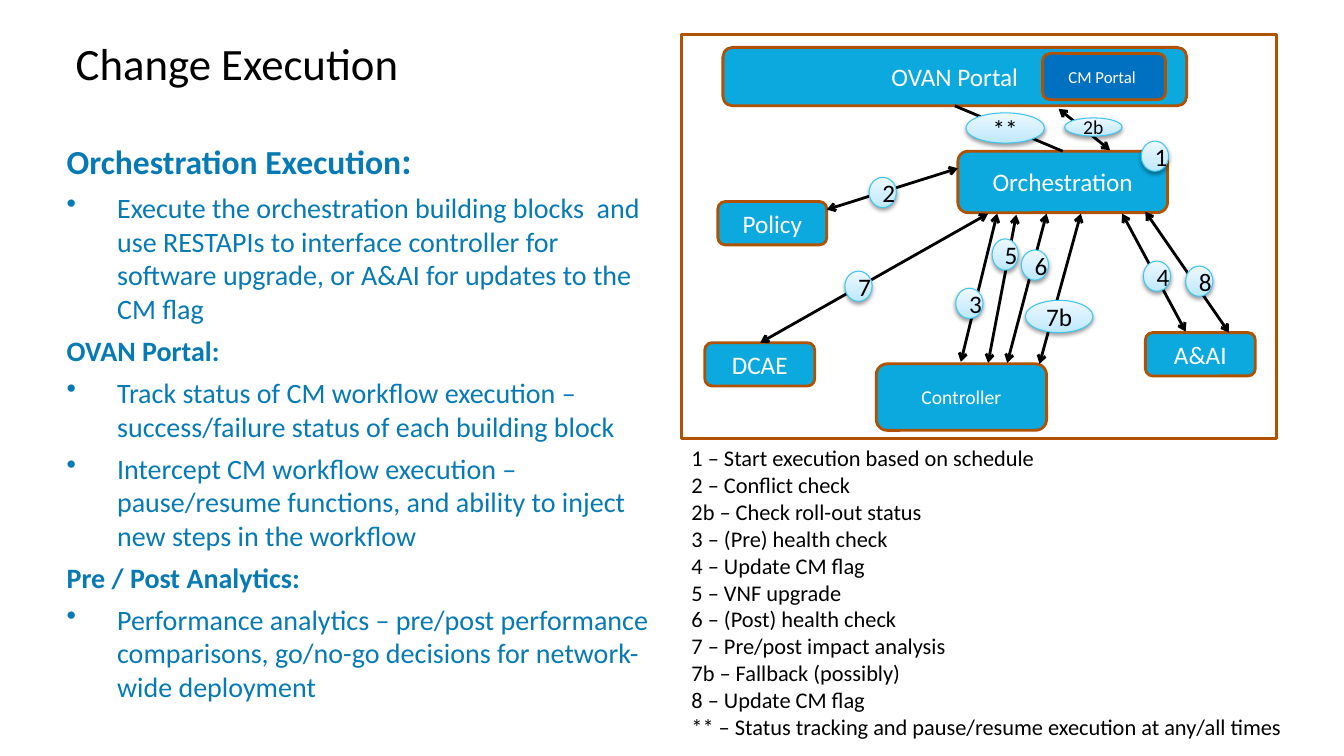
from pptx import Presentation
from pptx import util as u
from pptx.dml.color import RGBColor
from pptx.enum import shapes, text
from pptx.oxml import ns
from lxml import etree

COLORS = {"black": "000000", "white": "FFFFFF", "heading": "067AB4",
          "box": "0CA9DF", "portal": "0070C0", "border": "B15200",
          "badge_line": "3EC6F4"}
BADGE_STOPS = [(0, "BCE7FF"), (35, "CFEEFF"), (100, "EDF8FF")]

presentation = Presentation()
presentation.slide_width = u.Inches(13.33)
presentation.slide_height = u.Inches(7.5)
slide = presentation.slides.add_slide(presentation.slide_layouts[6])


def add_run(paragraph, words, size, color, bold=False):
    run = paragraph.add_run()
    run.text = words
    run.font.name = "Calibri"
    run.font.size = u.Pt(size)
    run.font.bold = bold
    run.font.color.rgb = RGBColor.from_string(COLORS[color])


def add_block(kind, place, fill, line, width, words="", size=18, color="white"):
    shape = slide.shapes.add_shape(kind, *[u.Inches(n) for n in place])
    shape.shadow.inherit = False
    if fill:
        shape.fill.solid()
        shape.fill.fore_color.rgb = RGBColor.from_string(COLORS[fill])
    else:
        shape.fill.background()
    shape.line.color.rgb = RGBColor.from_string(COLORS[line])
    shape.line.width = u.Pt(width)
    if words:
        paragraph = shape.text_frame.paragraphs[0]
        paragraph.alignment = text.PP_ALIGN.CENTER
        add_run(paragraph, words, size, color)
    return shape


# Title
title = slide.shapes.add_textbox(u.Inches(0.75), u.Inches(0.3), u.Inches(11.91), u.Inches(1.25))
frame = title.text_frame
frame.word_wrap = True
frame.margin_left = frame.margin_right = frame.margin_top = frame.margin_bottom = 0
frame.paragraphs[0].line_spacing = 1.1
add_run(frame.paragraphs[0], "Change Execution", 32, "black")

# Explanation on the left: (is bullet, runs of text and size)
explanation = [
    (False, [("Orchestration Execution", 24), (":", 26.7)]),
    (True, [("Execute the orchestration building blocks  and use RESTAPIs to interface "
             "controller for software upgrade, or A&AI for updates to the CM flag", 20)]),
    (False, [("OVAN Portal:", 20)]),
    (True, [("Track status of CM workflow execution – success/failure status of each "
             "building block", 20)]),
    (True, [("Intercept CM workflow execution – pause/resume functions, and ability to "
             "inject new steps in the workflow", 20)]),
    (False, [("Pre / Post Analytics:", 20)]),
    (True, [("Performance analytics – pre/post performance comparisons, go/no-go decisions "
             "for network-wide deployment", 20)]),
]
panel = add_block(shapes.MSO_SHAPE.ROUNDED_RECTANGLE, (0.47, 1.24, 6.18, 5.91), "white", "white", 1)
panel.line.fill.background()
panel.adjustments[0] = 0.024
frame = panel.text_frame
frame.vertical_anchor = text.MSO_ANCHOR.TOP
frame.margin_left = frame.margin_right = frame.margin_bottom = u.Inches(0.15)
frame.margin_top = u.Inches(0.08)
for index, (bullet, runs) in enumerate(explanation):
    paragraph = frame.add_paragraph() if index else frame.paragraphs[0]
    paragraph.alignment = text.PP_ALIGN.LEFT
    paragraph.space_after = u.Pt(6)
    for words, size in runs:
        add_run(paragraph, words, size, "heading", not bullet)
    if bullet:
        properties = paragraph._p.get_or_add_pPr()
        properties.set("marL", str(u.Inches(0.5)))
        properties.set("indent", str(u.Inches(-0.5)))
        etree.SubElement(properties, ns.qn("a:buChar")).set("char", "•")

# Legend of the steps
legend = slide.shapes.add_textbox(u.Inches(6.76), u.Inches(4.36), u.Inches(6.57), u.Inches(3.06))
frame = legend.text_frame
frame.word_wrap = True
steps = ["1 – Start execution based on schedule", "2 – Conflict check",
         "2b – Check roll-out status", "3 – (Pre) health check", "4 – Update CM flag",
         "5 – VNF upgrade", "6 – (Post) health check", "7 – Pre/post impact analysis",
         "7b – Fallback (possibly)", "8 – Update CM flag",
         "** – Status tracking and pause/resume execution at any/all times"]
for index, step in enumerate(steps):
    paragraph = frame.add_paragraph() if index else frame.paragraphs[0]
    add_run(paragraph, step, 16, "black")

# Diagram frame and component boxes
add_block(shapes.MSO_SHAPE.RECTANGLE, (6.76, 0.34, 5.9, 4.01), None, "border", 2)
components = [
    ("OVAN Portal", (7.17, 0.47, 4.6, 0.58), "box", 18),
    ("CM Portal ", (10.34, 0.53, 1.22, 0.46), "portal", 12),
    ("Orchestration", (9.5, 1.5, 2.08, 0.61), "box", 18),
    ("Policy", (7.12, 2, 1.08, 0.43), "box", 18),
    ("DCAE", (6.99, 3.4, 1.09, 0.43), "box", 18),
    ("Controller", (8.69, 3.61, 1.69, 0.66), "box", 14),
    ("A&AI", (11.36, 3.3, 1.09, 0.43), "box", 18),
]
for name, place, fill, size in components:
    add_block(shapes.MSO_SHAPE.ROUNDED_RECTANGLE, place, fill, "border", 2, name, size)

# Links between components: start, end, arrowheads
links = [
    (9.47, 1.05, 10.54, 1.5, False),
    (11.01, 1.49, 10.5, 1.08, True),
    (9.5, 1.67, 8.2, 2.08, True),
    (9.8, 2.12, 7.54, 3.4, True),
    (9.89, 2.12, 9.53, 3.59, True),
    (10.08, 2.13, 9.8, 3.6, True),
    (10.38, 2.12, 9.99, 3.6, True),
    (10.72, 2.12, 10.31, 3.61, True),
    (11.13, 2.12, 11.76, 3.29, True),
    (11.36, 2.1, 12.19, 3.3, True),
]
for *ends, arrows in links:
    link = slide.shapes.add_connector(shapes.MSO_CONNECTOR.STRAIGHT, *[u.Inches(n) for n in ends])
    link.line.color.rgb = RGBColor.from_string(COLORS["black"])
    link.line.width = u.Pt(2)
    properties = link._element.spPr
    if arrows:
        for end in ("a:headEnd", "a:tailEnd"):
            etree.SubElement(properties.find(ns.qn("a:ln")), ns.qn(end)).set("type", "arrow")
    etree.SubElement(properties, ns.qn("a:effectLst"))

# Step badges with gradient and soft shadow
badges = [
    ("**", (9.58, 1.12, 0.78, 0.3), 18),
    ("2b", (10.56, 1.17, 0.57, 0.18), 14),
    ("1", (11.32, 1.4, 0.27, 0.3), 18),
    ("2", (8.62, 1.76, 0.27, 0.3), 18),
    ("3", (9.48, 2.86, 0.27, 0.3), 18),
    ("4", (11.34, 2.59, 0.27, 0.3), 18),
    ("5", (9.84, 2.37, 0.26, 0.31), 18),
    ("6", (10.13, 2.48, 0.27, 0.3), 18),
    ("7", (8.38, 2.69, 0.27, 0.3), 18),
    ("7b", (10.17, 2.98, 0.67, 0.32), 18),
    ("8", (11.76, 2.64, 0.27, 0.3), 18),
]
for label, place, size in badges:
    badge = add_block(shapes.MSO_SHAPE.OVAL, place, None, "badge_line", 0.75, label, size, "black")
    badge.fill.gradient()
    badge.fill.gradient_angle = 90
    properties = badge._element.spPr
    stops = properties.find(".//" + ns.qn("a:gsLst"))
    for stop in list(stops):
        stops.remove(stop)
    for position, color in BADGE_STOPS:
        stop = etree.SubElement(stops, ns.qn("a:gs"), pos=str(position * 1000))
        etree.SubElement(stop, ns.qn("a:srgbClr"), val=color)
    shadow = etree.SubElement(properties.find(ns.qn("a:effectLst")), ns.qn("a:outerShdw"),
                              blurRad=str(u.Pt(3.1)), dist=str(u.Pt(1.6)),
                              dir="5400000", rotWithShape="0")
    shade = etree.SubElement(shadow, ns.qn("a:srgbClr"), val=COLORS["black"])
    etree.SubElement(shade, ns.qn("a:alpha"), val="38000")

presentation.save("out.pptx")
